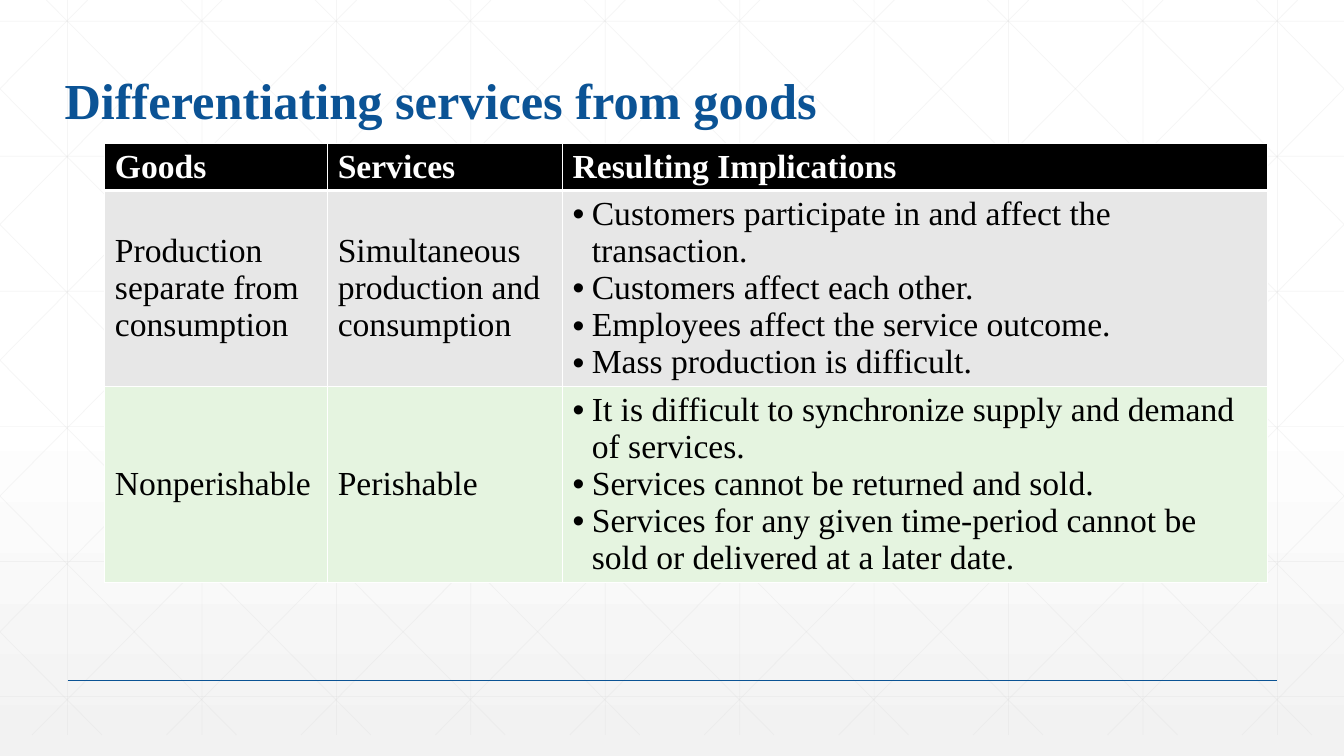
"""Build a slide that contrasts goods and services in a three-column table."""
from dataclasses import dataclass

from lxml import etree
from pptx import Presentation
from pptx.dml.color import RGBColor
from pptx.enum.shapes import MSO_CONNECTOR
from pptx.enum.text import MSO_ANCHOR, MSO_AUTO_SIZE, PP_ALIGN
from pptx.oxml import parse_xml
from pptx.oxml.ns import nsdecls, qn
from pptx.util import Inches, Pt

STRAIGHT = MSO_CONNECTOR.STRAIGHT
MIDDLE, BOTTOM = MSO_ANCHOR.MIDDLE, MSO_ANCHOR.BOTTOM
LEFT = PP_ALIGN.LEFT
NO_FIT = MSO_AUTO_SIZE.NONE


@dataclass(frozen=True)
class Theme:
    font: str = "Times New Roman"
    title_size: int = 36
    table_size: int = 24
    title: str = "0B5395"
    rule: str = "0B5394"
    grid: str = "D9D9D9"
    white: str = "FFFFFF"
    shade: str = "F2F2F2"
    black: str = "000000"
    gray: str = "E7E7E7"
    green: str = "E5F4E0"


THEME = Theme()
WIDTH, HEIGHT = 13.33, 7.5


def write(frame, text, size=THEME.table_size, color=THEME.black, bold=False, bullet=False, spacing=None):
    """Fill a text frame with one paragraph per line of text."""
    for index, line in enumerate(text.split("\n")):
        para = frame.add_paragraph() if index else frame.paragraphs[0]
        para.alignment = LEFT
        if spacing:
            para.line_spacing = spacing
        if bullet:
            properties = para._p.get_or_add_pPr()
            properties.set("marL", str(Inches(0.19)))
            properties.set("indent", str(-Inches(0.19)))
            etree.SubElement(properties, qn("a:buFont"), typeface="Arial")
            etree.SubElement(properties, qn("a:buChar"), char="•")
        span = para.add_run()
        span.text = line
        span.font.name = THEME.font
        span.font.size = Pt(size)
        span.font.bold = bold
        span.font.color.rgb = RGBColor.from_string(color)


def draw_line(start, end, color=THEME.grid, weight=0.5, opacity=25):
    """Draw a straight line between two points given in inches."""
    line = page.shapes.add_connector(STRAIGHT, *[Inches(value) for value in (*start, *end)])
    line.line.width = Pt(weight)
    line.line.color.rgb = RGBColor.from_string(color)
    paint = line.element.spPr.find(".//" + qn("a:srgbClr"))
    etree.SubElement(paint, qn("a:alpha"), val=str(opacity * 1000))
    etree.SubElement(line.element.spPr, qn("a:effectLst"))


deck = Presentation()
deck.slide_width, deck.slide_height = Inches(WIDTH), Inches(HEIGHT)
page = deck.slides.add_slide(deck.slide_layouts[5])

backdrop = page.background.fill
backdrop.gradient()
backdrop.gradient_angle = 270
for stop, color, position in zip(backdrop.gradient_stops, (THEME.white, THEME.shade), (0.53, 1)):
    stop.color.rgb = RGBColor.from_string(color)
    stop.position = position

GRID_STEP, GRID_BOTTOM = 4 / 3, 7.29
for column in range(10):
    x = 0.67 + column * GRID_STEP
    draw_line((x, 0), (x, GRID_BOTTOM))
for row in range(6):
    y = 0.21 + row * 1.34
    draw_line((0, y), (WIDTH, y))

SLOPE = 0.99
for diagonal in range(-5, 10):
    origin = 0.46 + diagonal * GRID_STEP
    top = max(0, -origin / SLOPE)
    bottom = min(GRID_BOTTOM, (WIDTH - origin) / SLOPE)
    left, right = origin + SLOPE * top, origin + SLOPE * bottom
    draw_line((left, top), (right, bottom))
    draw_line((WIDTH - left, top), (WIDTH - right, bottom))

draw_line((0.67, 6.75), (12.67, 6.75), color=THEME.rule, weight=1, opacity=100)

title = page.shapes.title
title.left, title.top, title.width, title.height = [Inches(value) for value in (0.54, 0.55, 12.31, 0.79)]
title.element.getparent().append(title.element)
title.text_frame.auto_size = NO_FIT
title.text_frame.word_wrap = True
title.text_frame.vertical_anchor = BOTTOM
write(title.text_frame, "Differentiating services from goods", size=THEME.title_size,
      color=THEME.title, bold=True, spacing=0.9)

ROWS = [
    ("Goods", "Services", "Resulting Implications"),
    ("Production separate from consumption",
     "Simultaneous production and consumption",
     "Customers participate in and affect the transaction.\n"
     "Customers affect each other.\n"
     "Employees affect the service outcome.\n"
     "Mass production is difficult."),
    ("Nonperishable",
     "Perishable",
     "It is difficult to synchronize supply and demand of services.\n"
     "Services cannot be returned and sold.\n"
     "Services for any given time-period cannot be sold or delivered at a later date."),
]
COLUMN_WIDTHS = (2.21, 2.33, 6.99)
ROW_HEIGHTS = (0.46, 1.94, 1.94)
ROW_FILLS = (THEME.black, THEME.gray, THEME.green)

table = page.shapes.add_table(len(ROWS), len(COLUMN_WIDTHS), Inches(1.04), Inches(1.42),
                              Inches(sum(COLUMN_WIDTHS)), Inches(sum(ROW_HEIGHTS))).table
for column, width in zip(table.columns, COLUMN_WIDTHS):
    column.width = Inches(width)
for row, height in zip(table.rows, ROW_HEIGHTS):
    row.height = Inches(height)

for row_index, (texts, fill) in enumerate(zip(ROWS, ROW_FILLS)):
    header = row_index == 0
    for column_index, text in enumerate(texts):
        cell = table.cell(row_index, column_index)
        cell.vertical_anchor = MIDDLE
        for side in "LRTB":
            thick = (header and side == "B") or (row_index == 1 and side == "T")
            cell._tc.get_or_add_tcPr().append(parse_xml(
                f'<a:ln{side} {nsdecls("a")} w="{Pt(3 if thick else 1)}"><a:solidFill>'
                f'<a:srgbClr val="{THEME.white}"/></a:solidFill></a:ln{side}>'))
        cell.fill.solid()
        cell.fill.fore_color.rgb = RGBColor.from_string(fill)
        write(cell.text_frame, text, color=THEME.white if header else THEME.black,
              bold=header, bullet=not header and column_index == 2)

deck.save("out.pptx")
